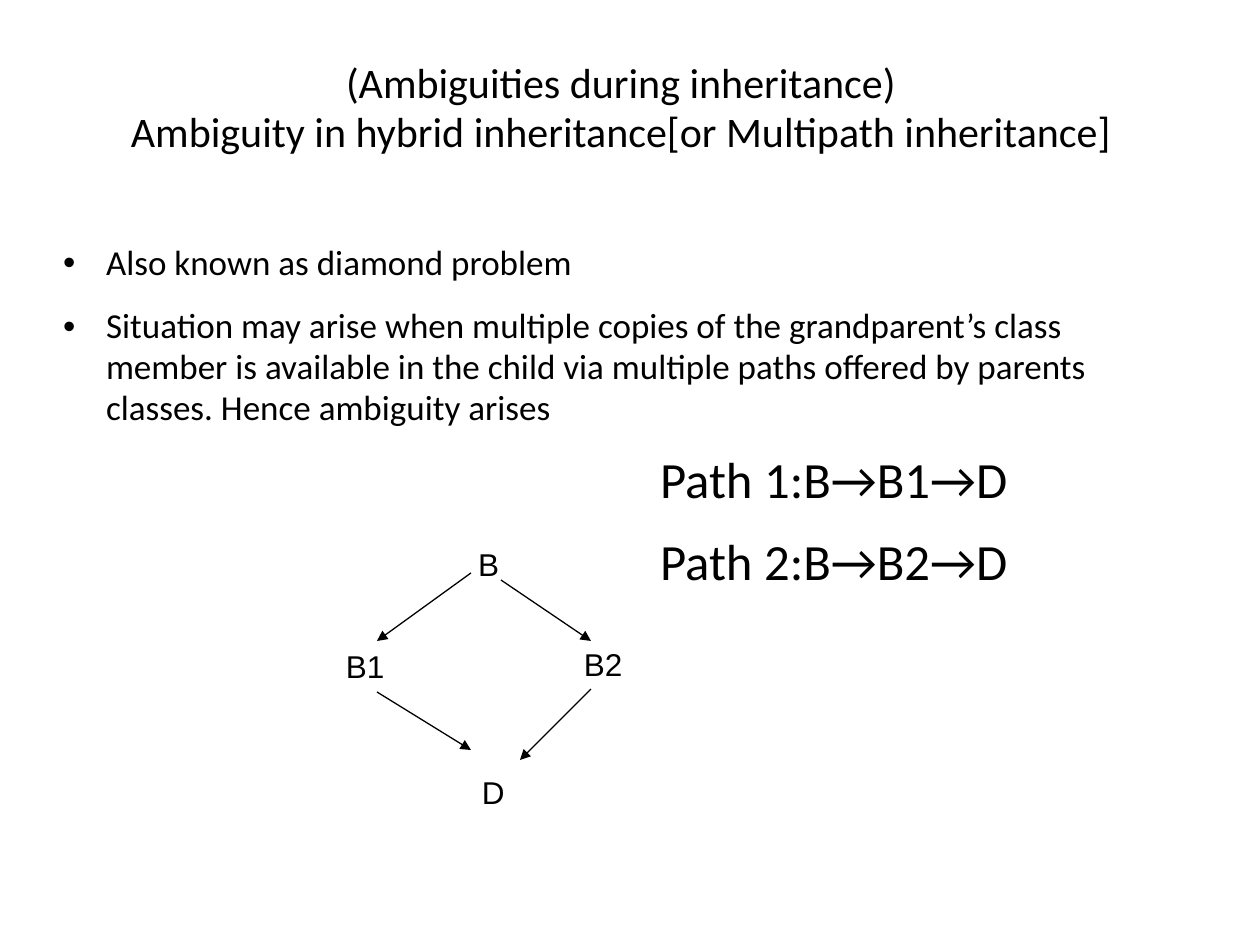
from lxml import etree
from pptx import Presentation
from pptx import util as u
from pptx.dml.color import RGBColor
from pptx.enum import shapes, text
from pptx.oxml.ns import qn

PX_PER_INCH = 126
BLACK = RGBColor(0x00, 0x00, 0x00)
WHITE = RGBColor(0xFF, 0xFF, 0xFF)


def px(n):
    return u.Emu(round(n * 914400 / PX_PER_INCH))


def place(sp, left, top, width, height):
    sp.left, sp.top, sp.width, sp.height = map(px, (left, top, width, height))


def set_frame(tf, margins, anchor):
    """Margins are left, top, right, bottom."""
    tf.word_wrap = True
    tf.auto_size = text.MSO_AUTO_SIZE.NONE
    tf.vertical_anchor = anchor
    tf.margin_left, tf.margin_top, tf.margin_right, tf.margin_bottom = map(px, margins)


def write(p, words, font="Calibri", size=20, align=text.PP_ALIGN.LEFT, spacing=1.0, after=0):
    p.text = words
    p.alignment = align
    p.line_spacing = spacing
    p.space_before, p.space_after = u.Pt(0), u.Pt(after)
    for r in p.runs:
        r.font.name, r.font.size = font, u.Pt(size)
        r.font.color.rgb = BLACK


def set_indent(p, left, bullet=None):
    """Indent a paragraph, with a hanging bullet if one is given."""
    pPr = p._p.get_or_add_pPr()
    pPr.set("marL", str(px(left)))
    pPr.set("indent", str(px(-left) if bullet else 0))
    if bullet:
        etree.SubElement(pPr, qn("a:buFont")).set("typeface", "Arial")
        etree.SubElement(pPr, qn("a:buChar")).set("char", bullet)
    else:
        etree.SubElement(pPr, qn("a:buNone"))


def add_label(s, words, left, top, width):
    sp = s.shapes.add_textbox(px(left), px(top), px(width), px(50))
    set_frame(sp.text_frame, (13, 6, 13, 6), text.MSO_ANCHOR.TOP)
    write(sp.text_frame.paragraphs[0], words, font="Arial", size=18)


def add_arrow(s, x1, y1, x2, y2):
    c = s.shapes.add_connector(shapes.MSO_CONNECTOR.STRAIGHT, px(x1), px(y1), px(x2), px(y2))
    c.line.color.rgb = BLACK
    c.line.width = u.Pt(0.75)
    etree.SubElement(c.line._get_or_add_ln(), qn("a:tailEnd")).set("type", "triangle")
    etree.SubElement(c._element.spPr, qn("a:effectLst"))


def add_title(s):
    sp = s.shapes.title
    place(sp, 63, 38, 1116, 141)
    set_frame(sp.text_frame, (11, 6, 11, 6), text.MSO_ANCHOR.MIDDLE)
    write(sp.text_frame.paragraphs[0],
          "(Ambiguities during inheritance)\v"
          "Ambiguity in hybrid inheritance[or Multipath inheritance]",
          size=24, align=text.PP_ALIGN.CENTER, spacing=0.97)


def add_body(s):
    bullets = [
        "Also known as diamond problem",
        "Situation may arise when multiple copies of the grandparent’s class member is "
        "available in the child via multiple paths offered by parents classes. "
        "Hence ambiguity arises",
    ]
    paths = ["Path 1:B→B1→D", "Path 2:B→B2→D"]
    rows = [(b, 20, 43, "•") for b in bullets] + [(w, 29, 597, None) for w in paths]

    sp = s.placeholders[1]
    place(sp, 63, 222, 1116, 688)
    tf = sp.text_frame
    set_frame(tf, (0, 21, 0, 0), text.MSO_ANCHOR.TOP)
    for i, (words, size, indent, bullet) in enumerate(rows):
        p = tf.add_paragraph() if i else tf.paragraphs[0]
        write(p, words, size=size, spacing=0.97, after=12.9)
        set_indent(p, indent, bullet)


def add_diamond(s):
    # Class names
    for label in [("B", 465, 539, 80), ("B1", 333, 641, 89),
                  ("B2", 571, 639, 89), ("D", 469, 767, 54)]:
        add_label(s, *label)
    # Inheritance arrows, parent to child
    for ends in [(471, 573, 377, 641), (501, 580, 591, 641),
                 (377, 692, 471, 750), (591, 689, 520, 760)]:
        add_arrow(s, *ends)


def main():
    prs = Presentation()
    prs.slide_width, prs.slide_height = u.Inches(10), u.Inches(7.5)
    s = prs.slides.add_slide(prs.slide_layouts[1])
    s.background.fill.solid()
    s.background.fill.fore_color.rgb = WHITE
    add_title(s)
    add_body(s)
    add_diamond(s)
    prs.save("out.pptx")


if __name__ == "__main__":
    main()
